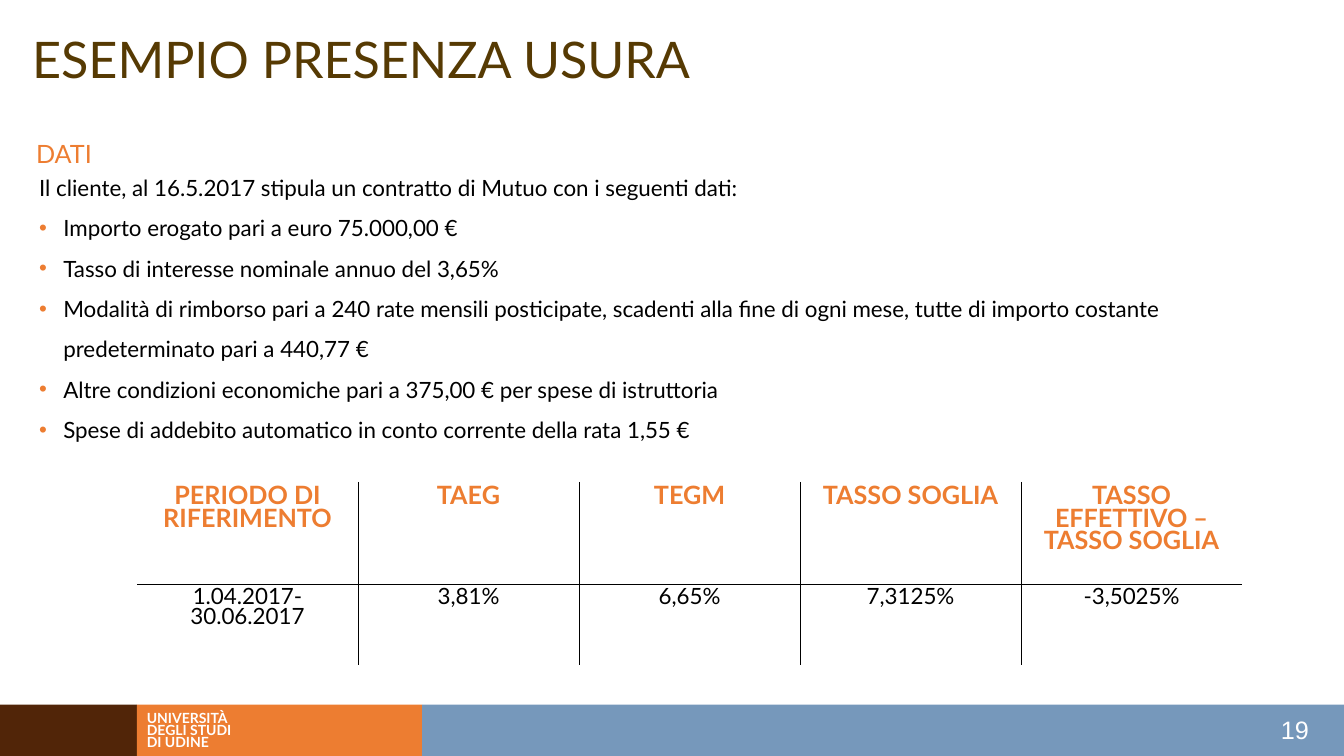
from lxml import etree
from pptx import Presentation
from pptx import util as u
from pptx.dml.color import RGBColor
from pptx.enum import shapes, text
from pptx.oxml import ns

COLORS = {"title": "563A03", "accent": "ED7D31", "dark": "512508",
          "blue": "7698BB", "black": "000000", "white": "FFFFFF"}
LOAN = ["Importo erogato pari a euro 75.000,00 €",
        "Tasso di interesse nominale annuo del 3,65%",
        "Modalità di rimborso pari a 240 rate mensili posticipate, scadenti alla fine "
        "di ogni mese, tutte di importo costante predeterminato pari a 440,77 €",
        "Altre condizioni economiche pari a 375,00 € per spese di istruttoria",
        "Spese di addebito automatico in conto corrente della rata 1,55 €"]
RATES = [["PERIODO DI RIFERIMENTO", "TAEG", "TEGM", "TASSO SOGLIA",
          "TASSO EFFETTIVO – TASSO SOGLIA"],
         ["1.04.2017-30.06.2017", "3,81%", "6,65%", "7,3125%", "-3,5025%"]]


def color(name):
    return RGBColor.from_string(COLORS[name])


def style(par, size, tint, bold=False, face="Lato", align=None, gap=None):
    par.font.size = u.Pt(size)
    par.font.color.rgb = color(tint)
    par.font.bold = bold
    par.font.name = face
    par.alignment = align
    par.line_spacing = gap


def add_text(slide, box, lines, size, tint, wrap=True, **look):
    frame = slide.shapes.add_textbox(*map(u.Inches, box)).text_frame
    frame.word_wrap = wrap
    frame.text = "\n".join(lines)
    for par in frame.paragraphs:
        style(par, size, tint, **look)
    return frame


def add_bullet(frame, line):
    par = frame.add_paragraph()
    par.text = line
    props = par._p.get_or_add_pPr()
    props.set("marL", str(u.Inches(0.24)))
    props.set("indent", str(-u.Inches(0.24)))
    tint = etree.SubElement(props, ns.qn("a:buClr"))
    etree.SubElement(tint, ns.qn("a:srgbClr"), val=COLORS["accent"])
    etree.SubElement(props, ns.qn("a:buFont"), typeface="Arial")
    etree.SubElement(props, ns.qn("a:buChar"), char="•")
    style(par, 16, "black", gap=1.5)


def add_band(slide, left, width, tint):
    band = slide.shapes.add_shape(shapes.MSO_SHAPE.RECTANGLE, u.Inches(left),
                                  u.Inches(6.99), u.Inches(width), u.Inches(0.51))
    band.shadow.inherit = False
    band.fill.solid()
    band.fill.fore_color.rgb = color(tint)
    band.line.fill.background()


def set_edges(cell, drawn):
    """Draw a hairline on the sides marked true and none on the others."""
    props = cell._tc.get_or_add_tcPr()
    for spot, (side, shown) in enumerate(drawn.items()):
        edge = etree.Element(ns.qn("a:ln" + side), w=str(u.Pt(0.06)))
        if shown:
            fill = etree.SubElement(edge, ns.qn("a:solidFill"))
            etree.SubElement(fill, ns.qn("a:srgbClr"), val=COLORS["black"])
        else:
            etree.SubElement(edge, ns.qn("a:noFill"))
        props.insert(spot, edge)


def add_rates(slide):
    rows, cols = len(RATES), len(RATES[0])
    table = slide.shapes.add_table(rows, cols, u.Inches(1.36), u.Inches(4.78),
                                   u.Inches(10.97), u.Inches(1.82)).table
    table.horz_banding = False
    for row, height in zip(table.rows, (1.01, 0.81)):
        row.height = u.Inches(height)
    for r, values in enumerate(RATES):
        for c, value in enumerate(values):
            cell = table.cell(r, c)
            cell.text = value
            cell.fill.solid()
            cell.fill.fore_color.rgb = color("white")
            size, tint = (18, "accent") if r == 0 else (16, "black")
            style(cell.text_frame.paragraphs[0], size, tint, bold=r == 0,
                  align=text.PP_ALIGN.CENTER, gap=0.74)
            set_edges(cell, {"L": c > 0, "R": c < cols - 1,
                             "T": r > 0, "B": r < rows - 1})


def main():
    deck = Presentation()
    deck.slide_width, deck.slide_height = u.Inches(13.34), u.Inches(7.5)
    slide = deck.slides.add_slide(deck.slide_layouts[6])
    add_text(slide, (0.22, 0.23, 11.95, 0.7), ["ESEMPIO PRESENZA USURA"], 36, "title")
    body = add_text(slide, (0.29, 1.68, 12.18, 3.03),
                    ["Il cliente, al 16.5.2017 stipula un contratto di Mutuo "
                     "con i seguenti dati:"], 16, "black")
    for line in LOAN:
        add_bullet(body, line)
    add_text(slide, (0.26, 1.32, 0.76, 0.4), ["DATI"], 18, "accent", wrap=False)
    add_rates(slide)
    for band in ((0, 1.36, "dark"), (1.36, 2.83, "accent"), (4.19, 9.15, "blue")):
        add_band(slide, *band)
    add_text(slide, (1.36, 7.04, 2.43, 0.45), ["UNIVERSITÀ", "DEGLI STUDI", "DI UDINE"],
             10, "white", bold=True, gap=u.Pt(8.4))
    add_text(slide, (12.43, 7.04, 0.66, 0.4), ["19"], 18, "white", face="Arial",
             align=text.PP_ALIGN.RIGHT)
    deck.save("out.pptx")


if __name__ == "__main__":
    main()
